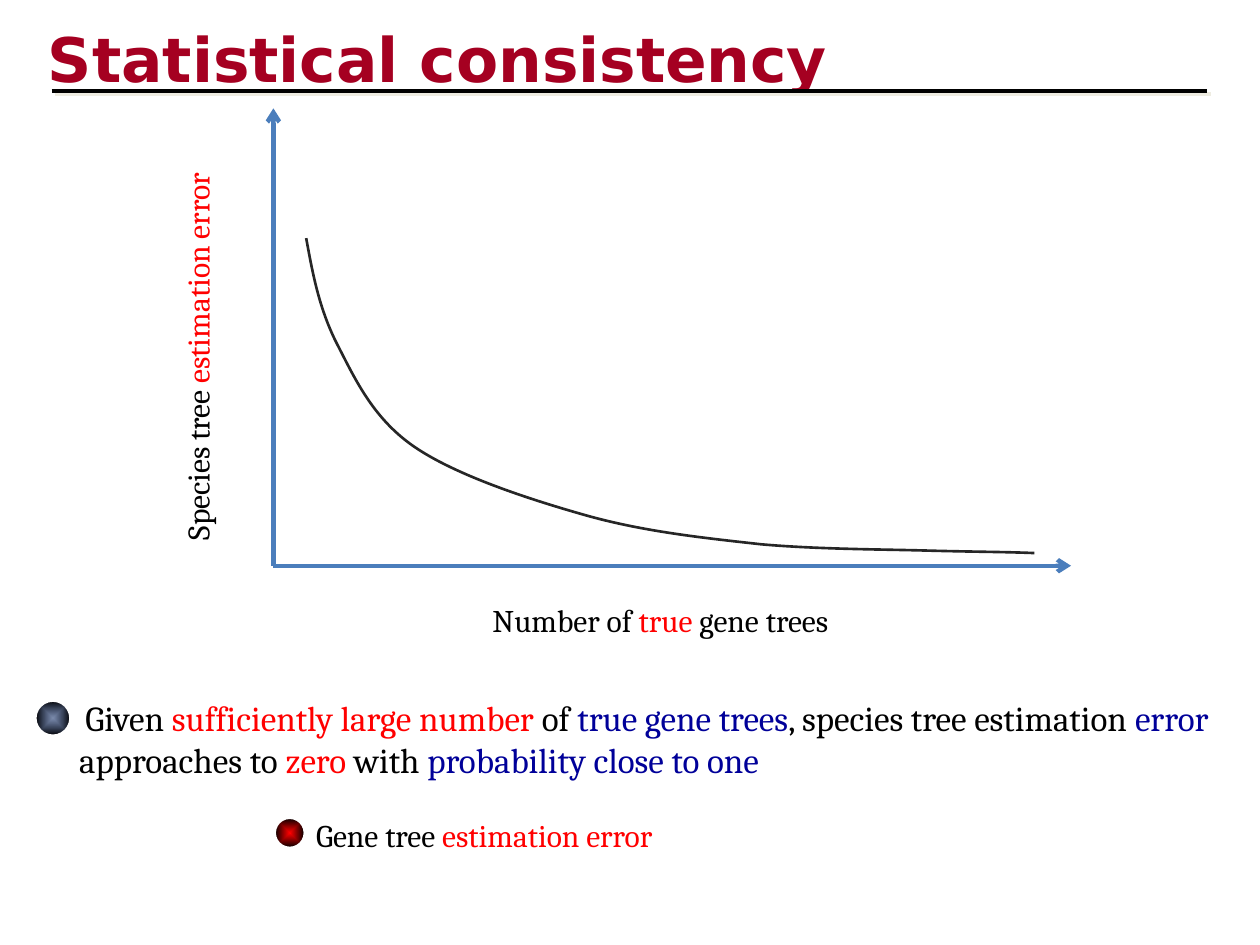
from dataclasses import dataclass

from lxml import etree
from pptx import Presentation, util as u
from pptx.dml.color import RGBColor
from pptx.enum import shapes, text
from pptx.oxml import parse_xml
from pptx.oxml.ns import nsdecls, qn

COLS, ROWS = 100, 75
SLIDE_W, SLIDE_H = u.Inches(10), u.Inches(7.5)


@dataclass(frozen=True)
class Theme:
    title: str = "A50021"
    ink: str = "000000"
    red: str = "FF0000"
    blue: str = "000099"
    axis: str = "4B7EBC"
    curve: str = "262626"
    navy: str = "002060"
    rim: str = "FFFFFF"
    shade: str = "EEECE1"
    head_font: str = "DejaVu Sans"
    body_font: str = "Cambria"
    title_pt: float = 35.1
    body_pt: float = 20
    label_pt: float = 18


T = Theme()
CURVE = [
    (2.6, 10.3),
    (3.1, 13), (3.6, 15.8), (5, 18.6),
    (6.4, 21.3), (7.8, 24.5), (11.1, 26.8),
    (14.4, 29.1), (20.2, 31), (24.8, 32.3),
    (29.4, 33.6), (34.2, 34.1), (38.7, 34.6),
    (43.2, 35), (48.3, 35), (51.9, 35.1),
    (55.5, 35.2), (58, 35.2), (60.4, 35.3),
]


def col(n):
    return int(SLIDE_W * n / COLS)


def row(n):
    return int(SLIDE_H * n / ROWS)


def place(x, y, w, h):
    return col(x), row(y), col(w), row(h)


def apply(obj, values):
    for name, value in values.items():
        setattr(obj, name, value)


def rgb(color):
    return RGBColor.from_string(color)


def write(p, runs, size, font=T.body_font, bold=False):
    for words, color in runs:
        r = p.add_run()
        r.text = words
        apply(r.font, dict(size=u.Pt(size), name=font, bold=bold))
        r.font.color.rgb = rgb(color)


def effects(shadow=None):
    lst = parse_xml(f"<a:effectLst {nsdecls('a')}/>")
    if shadow:
        sh = etree.SubElement(lst, qn("a:outerShdw"), dist="35560", dir="2700000", algn="ctr")
        etree.SubElement(sh, qn("a:srgbClr"), val=shadow)
    return lst


def label(parent, box, runs, size, wrap=False, indent=0):
    sp = parent.add_textbox(*place(*box))
    tf = sp.text_frame
    apply(tf, dict(word_wrap=wrap, auto_size=text.MSO_AUTO_SIZE.SHAPE_TO_FIT_TEXT))
    p = tf.paragraphs[0]
    if indent:
        p._p.get_or_add_pPr().set("indent", str(col(indent)))
    write(p, runs, size)
    return sp


def rule(s, start, end, color, width, arrow=None, shadow=None):
    (x1, y1), (x2, y2) = start, end
    sp = s.shapes.add_connector(shapes.MSO_CONNECTOR.STRAIGHT, col(x1), row(y1), col(x2), row(y2))
    sp.line.color.rgb = rgb(color)
    sp.line.width = u.Pt(width)
    if arrow:
        etree.SubElement(sp.line._get_or_add_ln(), qn("a:tailEnd"), type=arrow)
    sp._element.spPr.append(effects(shadow))


def heading(s, box, words):
    x, y, w, h = box
    sp = s.shapes.title
    left, top, width, height = place(*box)
    apply(sp, dict(left=left, top=top, width=width, height=height))
    tf = sp.text_frame
    apply(tf, dict(
        vertical_anchor=text.MSO_ANCHOR.BOTTOM, auto_size=text.MSO_AUTO_SIZE.NONE,
        margin_top=0, margin_bottom=row(0.1),
    ))
    p = tf.paragraphs[0]
    p.alignment = text.PP_ALIGN.LEFT
    write(p, [(words, T.title)], T.title_pt, T.head_font, True)
    rPr = p.runs[0]._r.get_or_add_rPr()
    rPr.find(qn("a:solidFill")).addnext(effects(T.shade))
    base = y + h - 0.4
    rule(s, (x + 1.3, base), (x + w + 2.8, base), T.ink, 2.25, shadow=T.shade)


def error_curve(s, x, y):
    fb = s.shapes.build_freeform(col(x + CURVE[0][0]), row(y + CURVE[0][1]))
    fb.add_line_segments([(col(x + dx), row(y + dy)) for dx, dy in CURVE[1:]], close=False)
    sp = fb.convert_to_shape()
    sp.shadow.inherit = False
    sp.fill.background()
    sp.line.color.rgb = rgb(T.curve)
    sp.line.width = u.Pt(1.5)
    steps = list(sp._element.iter(qn("a:lnTo")))
    for i in range(0, len(steps), 3):
        bezier = etree.Element(qn("a:cubicBezTo"))
        steps[i].addprevious(bezier)
        for step in steps[i:i + 3]:
            bezier.append(step[0])
            step.getparent().remove(step)


def plot(s, box):
    x, y, w, h = box
    origin = x, y + h
    rule(s, origin, (x, y), T.axis, 2.5, "arrow")
    error_curve(s, x, y)
    label(s.shapes, (x + 16.4, y + h + 2.3, 31.2, 4),
          [("Number of ", T.ink), ("true", T.red), (" gene trees", T.ink)], T.label_pt)
    rule(s, origin, (x + w, y + h), T.axis, 2.5, "arrow")
    sp = label(s.shapes, (x - 23.1, y + 16.2, 34.1, 4),
               [("Species tree ", T.ink), ("estimation error", T.red)], T.label_pt)
    sp.rotation = 270


def ball(parent, box, color, alpha):
    sp = parent.add_shape(shapes.MSO_SHAPE.OVAL, *place(*box))
    sp.shadow.inherit = False
    sp.fill.gradient()
    for stop, shade in zip(sp.fill.gradient_stops, (color, T.ink)):
        stop.color.rgb = rgb(shade)
    grad = sp._element.spPr.find(qn("a:gradFill"))
    etree.SubElement(next(grad.iter(qn("a:srgbClr"))), qn("a:alpha"), val=str(alpha * 1000))
    lin = grad.find(qn("a:lin"))
    centre = etree.Element(qn("a:path"), path="shape")
    etree.SubElement(centre, qn("a:fillToRect"), dict.fromkeys("ltrb", "50000"))
    grad.replace(lin, centre)
    sp.line.color.rgb = rgb(T.rim)
    sp.line.width = u.Pt(1.5)


def point(s, box, ball_at, ball_size, color, alpha, runs, size, indent):
    x, y = box[:2]
    dx, dy = ball_at
    group = s.shapes.add_group_shape().shapes
    ball(group, (x + dx, y + dy, ball_size, ball_size), color, alpha)
    label(group, box, runs, size, wrap=True, indent=indent)


def main():
    prs = Presentation()
    apply(prs, dict(slide_width=SLIDE_W, slide_height=SLIDE_H))
    s = prs.slides.add_slide(prs.slide_layouts[5])
    plot(s, (21.7, 8.6, 63.3, 36.3))
    heading(s, (2.8, 0.9, 90.2, 6.7), "Statistical consistency")
    point(s, (5.3, 54.8, 93.5, 7.7), (-2.5, 0.8), 2.8, T.navy, 51, [
        ("Given ", T.ink), ("sufficiently large number", T.red), (" of ", T.ink),
        ("true gene trees", T.blue), (", species tree estimation ", T.ink),
        ("error", T.blue), (" approaches to ", T.ink), ("zero", T.red),
        (" with ", T.ink), ("probability close to one", T.blue),
    ], T.body_pt, 0.5)
    point(s, (23, 64.3, 58.9, 4), (-1.2, 0.6), 2.4, T.red, 100,
          [("Gene tree ", T.ink), ("estimation error", T.red)], T.label_pt, 1.1)
    prs.save("out.pptx")


if __name__ == "__main__":
    main()
